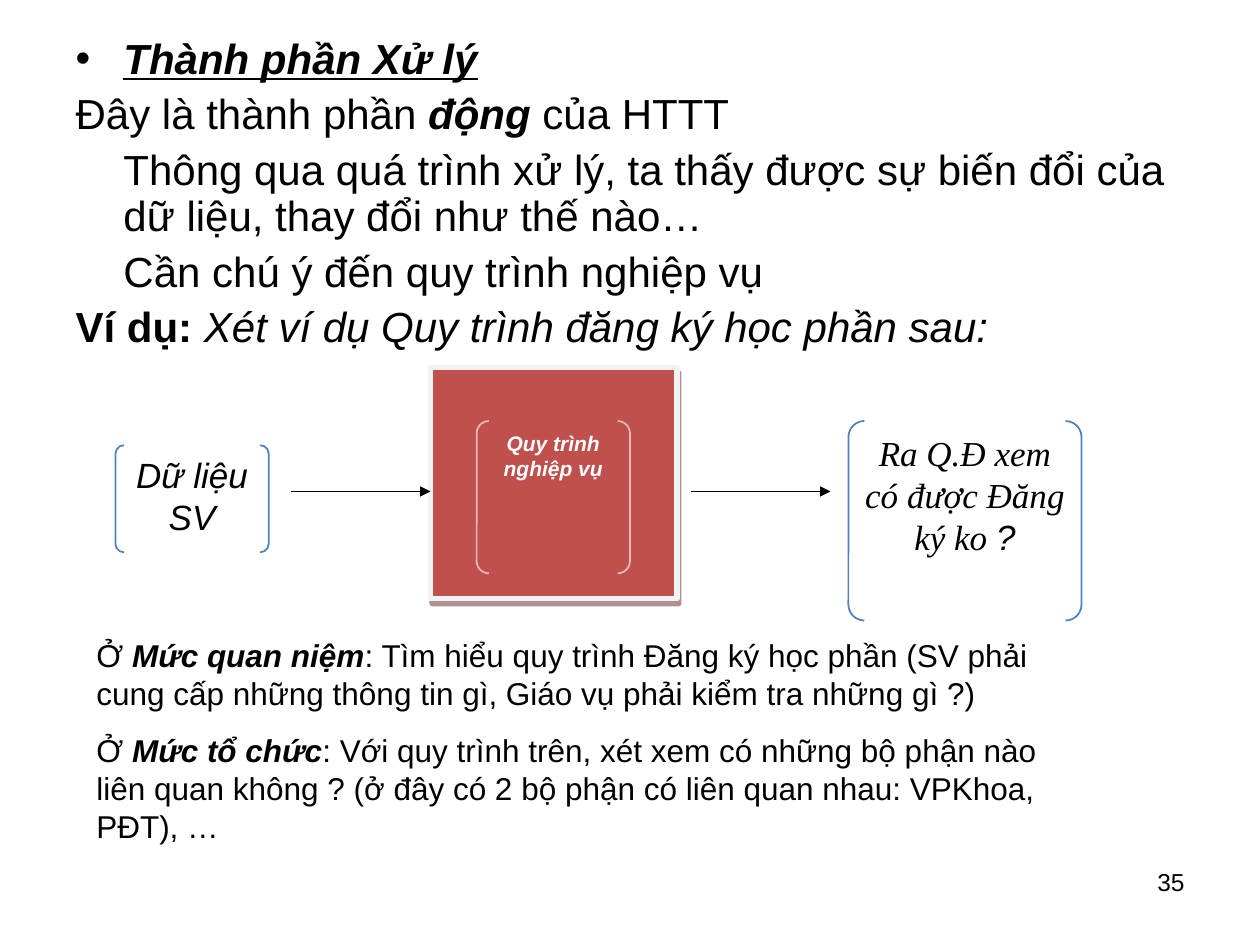
from lxml import etree
from pptx import Presentation
from pptx import util as u
from pptx.dml.color import RGBColor
from pptx.enum import shapes, text
from pptx.oxml import ns

COLUMNS, ROWS = 120, 90
WIDTH, HEIGHT = u.Inches(10), u.Inches(7.5)

BLACK = RGBColor(0x00, 0x00, 0x00)
WHITE = RGBColor(0xFF, 0xFF, 0xFF)
RED = RGBColor(0xC0, 0x50, 0x4D)
PINK = RGBColor(0xE5, 0xB9, 0xB7)
BLUE = RGBColor(0x4F, 0x81, 0xBD)
LIGHT_GRAY = RGBColor(0xF2, 0xF2, 0xF2)
DARK_RED = RGBColor(0x5F, 0x27, 0x26)

BOLD = {"bold": True}
ITALIC = {"italic": True}
STRONG = {**BOLD, **ITALIC}
HEADING = {**STRONG, "underline": True}
SERIF = {**ITALIC, "name": "Times New Roman"}
CENTERED = {"alignment": text.PP_ALIGN.CENTER}
BODY_SPACING = {"line_spacing": 0.9, "space_before": u.Pt(6)}
HANGING = {"marL": u.Inches(0.38), "indent": -u.Inches(0.38)}
INDENTED = {"marL": u.Inches(0.38), "indent": 0}

BODY = [
    ([("Thành phần Xử lý", HEADING)], HANGING, "•"),
    ([("Đây là thành phần ", {}), ("động", STRONG), (" của HTTT", {})], HANGING, None),
    ([("Thông qua quá trình xử lý, ta thấy được sự biến đổi của "
       "dữ liệu, thay đổi như thế nào…", {})], INDENTED, None),
    ([("Cần chú ý đến quy trình nghiệp vụ", {})], INDENTED, None),
    ([("Ví dụ: ", BOLD), ("Xét ví dụ Quy trình đăng ký học phần sau:", ITALIC)],
     HANGING, None),
]
LEVELS = [
    [("Ở ", {}), ("Mức quan niệm", STRONG),
     (": Tìm hiểu quy trình Đăng ký học phần (SV phải cung cấp những "
      "thông tin gì, Giáo vụ phải kiểm tra những gì ?)", {})],
    [("Ở ", {}), ("Mức tổ chức", STRONG),
     (": Với quy trình trên, xét xem có những bộ phận nào liên quan không ? "
      "(ở đây có 2 bộ phận có liên quan nhau: VPKhoa, PĐT), …", {})],
]
BRACKETS = [
    ((45.4, 40.1, 14.6, 14.5), PINK, 12, WHITE, [[("Quy trình nghiệp vụ", STRONG)]]),
    ((11, 42.4, 14.6, 10.2), BLUE, 20, BLACK, [[("Dữ liệu", ITALIC)], [("SV", ITALIC)]]),
    ((80.8, 40.1, 22.2, 19), BLUE, 20, BLACK,
     [[("Ra Q.Đ xem có được Đăng ký ko ", SERIF), ("?", ITALIC)]]),
]


def apply_format(target, values):
    for name, value in values.items():
        setattr(target, name, value)


def grid(*cells):
    units = (WIDTH / COLUMNS, HEIGHT / ROWS)
    return [u.Emu(round(cell * units[i % 2])) for i, cell in enumerate(cells)]


def add_xml(parent, tag, **attributes):
    element = etree.SubElement(parent, ns.qn(tag))
    for name, value in attributes.items():
        element.set(name, str(value))
    return element


def write_paragraphs(frame, paragraphs, size, color=BLACK, **values):
    apply_format(frame, {"word_wrap": True, "auto_size": text.MSO_AUTO_SIZE.NONE,
                         "vertical_anchor": text.MSO_ANCHOR.TOP})
    for index, runs in enumerate(paragraphs):
        paragraph = frame.paragraphs[0] if index == 0 else frame.add_paragraph()
        apply_format(paragraph, values)
        for words, style in runs:
            run = paragraph.add_run()
            run.text = words
            apply_format(run.font, {"name": "Arial", "size": u.Pt(size), **style})
            run.font.color.rgb = color


def fill_body(placeholder):
    apply_format(placeholder, dict(zip(("left", "top", "width", "height"),
                                       grid(6, 3, 108, 32))))
    frame = placeholder.text_frame
    write_paragraphs(frame, [runs for runs, _, _ in BODY], 24, **BODY_SPACING)
    for paragraph, (_, indents, bullet) in zip(frame.paragraphs, BODY):
        properties = paragraph._p.get_or_add_pPr()
        for name, value in indents.items():
            properties.set(name, str(value))
        if bullet:
            color = add_xml(properties, "a:buClr")
            add_xml(color, "a:srgbClr", val=BLACK)
            add_xml(properties, "a:buFont", typeface="Arial")
            add_xml(properties, "a:buChar", char=bullet)
        else:
            add_xml(properties, "a:buNone")


def add_text(slide, cells, paragraphs, size, **values):
    box = slide.shapes.add_textbox(*grid(*cells))
    write_paragraphs(box.text_frame, paragraphs, size, **values)


def add_process_box(slide, cells):
    box = slide.shapes.add_shape(shapes.MSO_SHAPE.RECTANGLE, *grid(*cells))
    box.fill.solid()
    box.fill.fore_color.rgb = RED
    box.line.color.rgb = LIGHT_GRAY
    box.line.width = u.Pt(3)
    box.shadow.inherit = False
    effects = box._element.spPr.find(ns.qn("a:effectLst"))
    shadow = add_xml(effects, "a:outerShdw", blurRad=0, dist=u.Pt(3.2),
                     dir=72 * 60000, algn="ctr", rotWithShape=0)
    color = add_xml(shadow, "a:srgbClr", val=DARK_RED)
    add_xml(color, "a:alpha", val=50000)


def add_bracket(slide, cells, line_color, size, text_color, paragraphs):
    bracket = slide.shapes.add_shape(shapes.MSO_SHAPE.DOUBLE_BRACKET, *grid(*cells))
    bracket.adjustments[0] = 0.08
    bracket.fill.background()
    bracket.line.color.rgb = line_color
    bracket.line.width = u.Pt(1)
    bracket.shadow.inherit = False
    sides = ("left", "top", "right", "bottom")
    apply_format(bracket.text_frame,
                 {f"margin_{side}": u.Inches(0.05) for side in sides})
    write_paragraphs(bracket.text_frame, paragraphs, size, text_color, **CENTERED)


def add_arrow(slide, start, end, row):
    arrow = slide.shapes.add_connector(shapes.MSO_CONNECTOR.STRAIGHT,
                                       *grid(start, row, end, row))
    arrow.line.color.rgb = BLACK
    arrow.line.width = u.Pt(0.75)
    add_xml(arrow.line._get_or_add_ln(), "a:tailEnd", type="triangle")
    add_xml(arrow._element.spPr, "a:effectLst")


def main():
    presentation = Presentation()
    apply_format(presentation, {"slide_width": WIDTH, "slide_height": HEIGHT})
    slide = presentation.slides.add_slide(presentation.slide_layouts[1])
    title = slide.shapes.title._element
    title.getparent().remove(title)
    add_text(slide, (86, 82, 28, 6.2), [[("35", {})]], 14,
             alignment=text.PP_ALIGN.RIGHT)
    fill_body(slide.placeholders[1])
    add_process_box(slide, (41, 35, 23.5, 22))
    for bracket in BRACKETS:
        add_bracket(slide, *bracket)
    for start, end in ((27.7, 41), (65.8, 79.1)):
        add_arrow(slide, start, end, 46.8)
    add_text(slide, (8, 60, 97, 21.1), LEVELS, 18, space_before=u.Pt(11.2))
    presentation.save("out.pptx")


if __name__ == "__main__":
    main()
